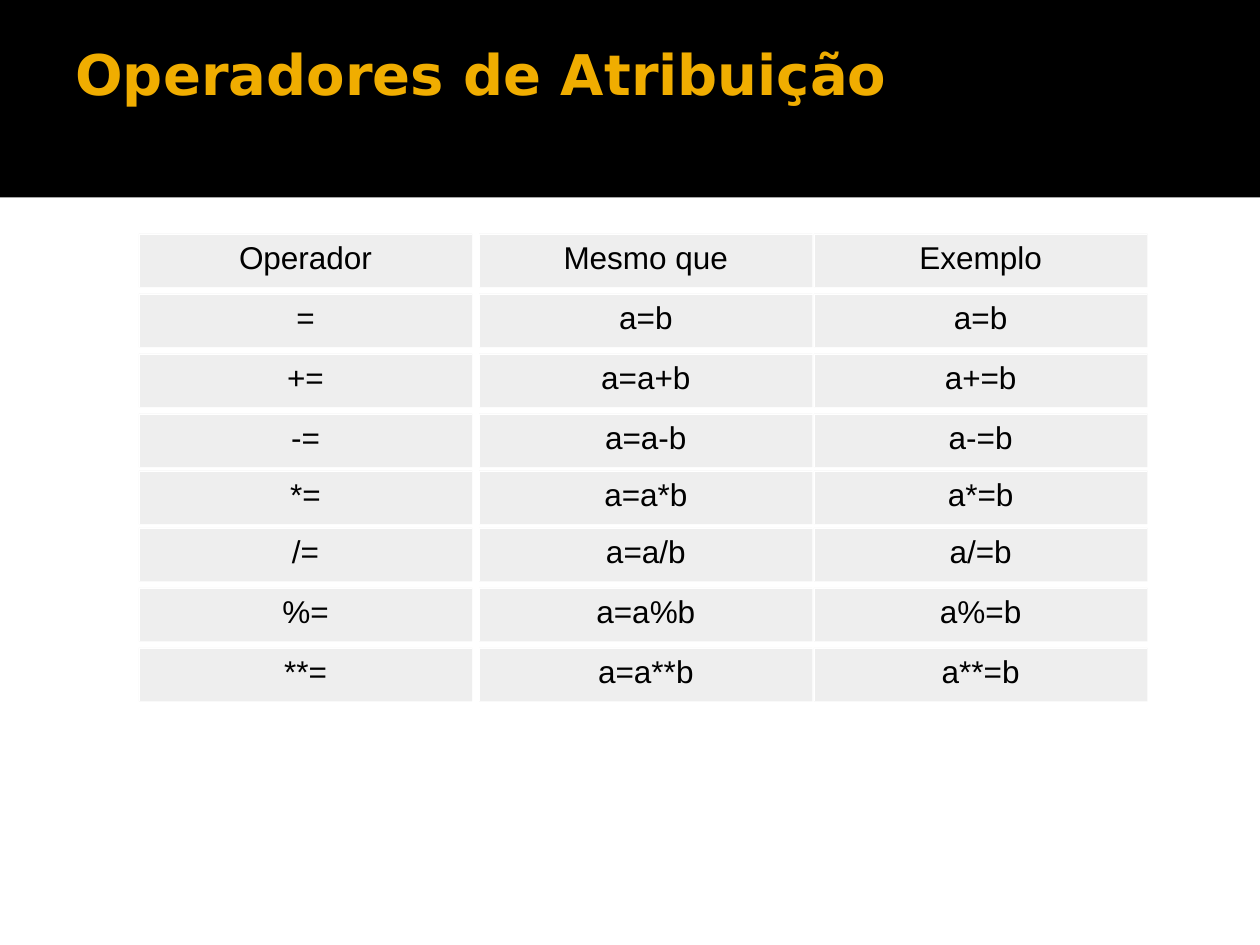
from itertools import accumulate

from lxml import etree
from pptx import Presentation
from pptx.dml.color import RGBColor
from pptx.enum.shapes import MSO_CONNECTOR, MSO_SHAPE
from pptx.enum.text import MSO_ANCHOR, PP_ALIGN
from pptx.oxml.ns import qn
from pptx.util import Cm, Pt

RECTANGLE = MSO_SHAPE.RECTANGLE
STRAIGHT = MSO_CONNECTOR.STRAIGHT
TOP = MSO_ANCHOR.TOP
LEFT, CENTER = PP_ALIGN.LEFT, PP_ALIGN.CENTER
BLACK, WHITE, GOLD, GREY = "000000", "FFFFFF", "F0AD00", "EEEEEE"

CELL_WIDTH, CELL_HEIGHT = 6.72, 1.08
COLUMN_GAPS = [0.14, 0.03, 0.17]
ROW_GAPS = [0.13, 0.13, 0.13, 0.07, 0.07, 0.13, 0.13, 0.13]
ROWS = [
    ("Operador", "Mesmo que", "Exemplo"),
    ("=", "a=b", "a=b"),
    ("+=", "a=a+b", "a+=b"),
    ("-=", "a=a-b", "a-=b"),
    ("*=", "a=a*b", "a*=b"),
    ("/=", "a=a/b", "a/=b"),
    ("%=", "a=a%b", "a%=b"),
    ("**=", "a=a**b", "a**=b"),
]


def color(value):
    """Turn a hex string into a colour."""
    return RGBColor.from_string(value)


def add_span(para, text, size, font, fill, bold=False):
    """Add formatted text to a paragraph."""
    span = para.add_run()
    span.text = text
    span.font.size = Pt(size)
    span.font.name = font
    span.font.bold = bold
    span.font.color.rgb = color(fill)


def add_rectangle(shapes, left, top, width, height, fill):
    """Draw a plain filled rectangle."""
    box = shapes.add_shape(RECTANGLE, Cm(left), Cm(top), Cm(width), Cm(height))
    box.shadow.inherit = False
    box.fill.solid()
    box.fill.fore_color.rgb = color(fill)
    box.line.fill.background()
    return box


def add_title(page, text):
    """Write the slide title."""
    box = page.shapes.add_textbox(Cm(1.27), Cm(0.43), Cm(22.86), Cm(3.48))
    frame = box.text_frame
    frame.word_wrap = True
    frame.vertical_anchor = TOP
    para = frame.paragraphs[0]
    para.alignment = LEFT
    para.line_spacing = 0.9
    add_span(para, text, size=32, font="DejaVu Sans", fill=GOLD, bold=True)
    add_span(para, " ", size=45, font="Calibri", fill=GOLD)


def add_cell(shapes, left, top, text):
    """Draw one grey cell with centred text."""
    box = add_rectangle(shapes, left, top, CELL_WIDTH, CELL_HEIGHT, GREY)
    frame = box.text_frame
    frame.word_wrap = True
    frame.vertical_anchor = TOP
    frame.margin_left = frame.margin_right = frame.margin_bottom = Cm(0.1)
    frame.margin_top = Cm(0.16)
    para = frame.paragraphs[0]
    para.alignment = CENTER
    para.line_spacing = 0.93
    add_span(para, text, size=18, font="Arial", fill=BLACK)


def add_rule(shapes, left, top, width=0, height=0):
    """Draw a white hairline along a cell edge."""
    rule = shapes.add_connector(
        STRAIGHT, Cm(left), Cm(top), Cm(left + width), Cm(top + height)
    )
    rule.line.color.rgb = color(WHITE)
    rule.line.width = Pt(0.06)
    etree.SubElement(rule._element.spPr, qn("a:effectLst"))


def track_starts(first, size, gaps):
    """Return the start of every track and the end of the last gap."""
    return list(accumulate((size + gap for gap in gaps), initial=first))


def add_operator_grid(page, rows):
    """Build the grid of assignment operators with its hairlines."""
    shapes = page.shapes.add_group_shape().shapes
    lefts = track_starts(2.8, CELL_WIDTH, COLUMN_GAPS)
    tops = track_starts(4.71, CELL_HEIGHT, ROW_GAPS)
    for top, texts in zip(tops, rows):
        for left, text in zip(lefts, texts):
            add_cell(shapes, left, top, text)
    for top in tops:
        for left in lefts[:-1]:
            add_rule(shapes, left, top, width=CELL_WIDTH)
    for left in lefts:
        for top in tops[:-1]:
            add_rule(shapes, left, top, height=CELL_HEIGHT)


def main():
    """Build and save the slide."""
    deck = Presentation()
    deck.slide_width, deck.slide_height = Cm(25.4), Cm(19.05)
    page = deck.slides.add_slide(deck.slide_layouts[6])
    add_rectangle(page.shapes, 0, 0, 25.4, 3.98, BLACK)
    add_title(page, "Operadores de Atribuição")
    add_operator_grid(page, ROWS)
    deck.save("out.pptx")


if __name__ == "__main__":
    main()
